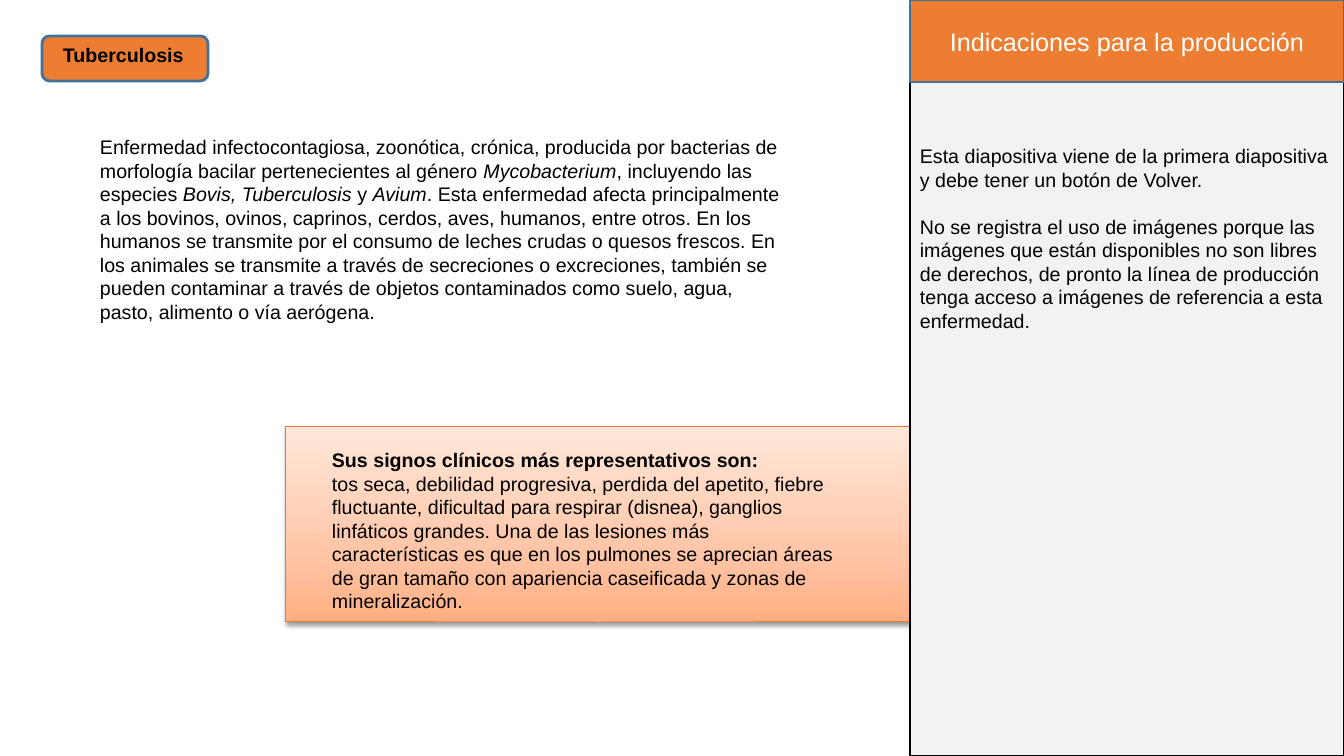
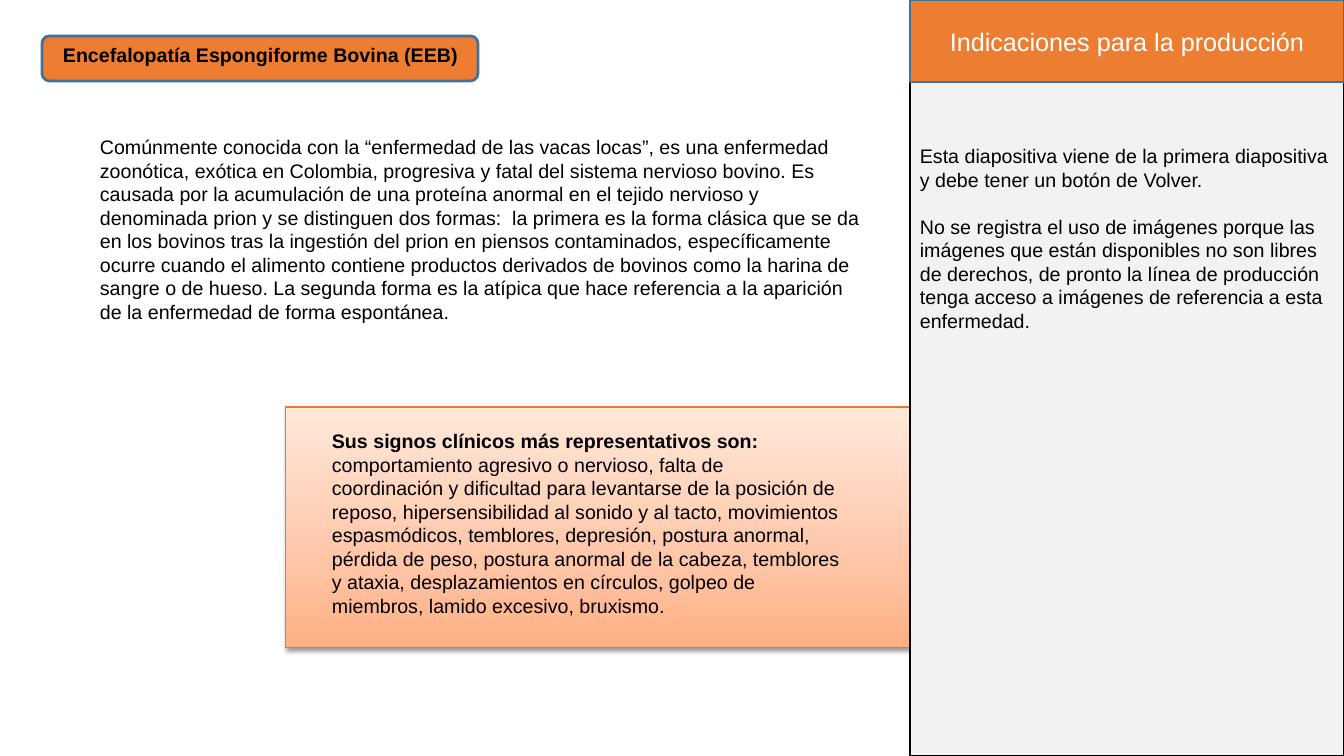
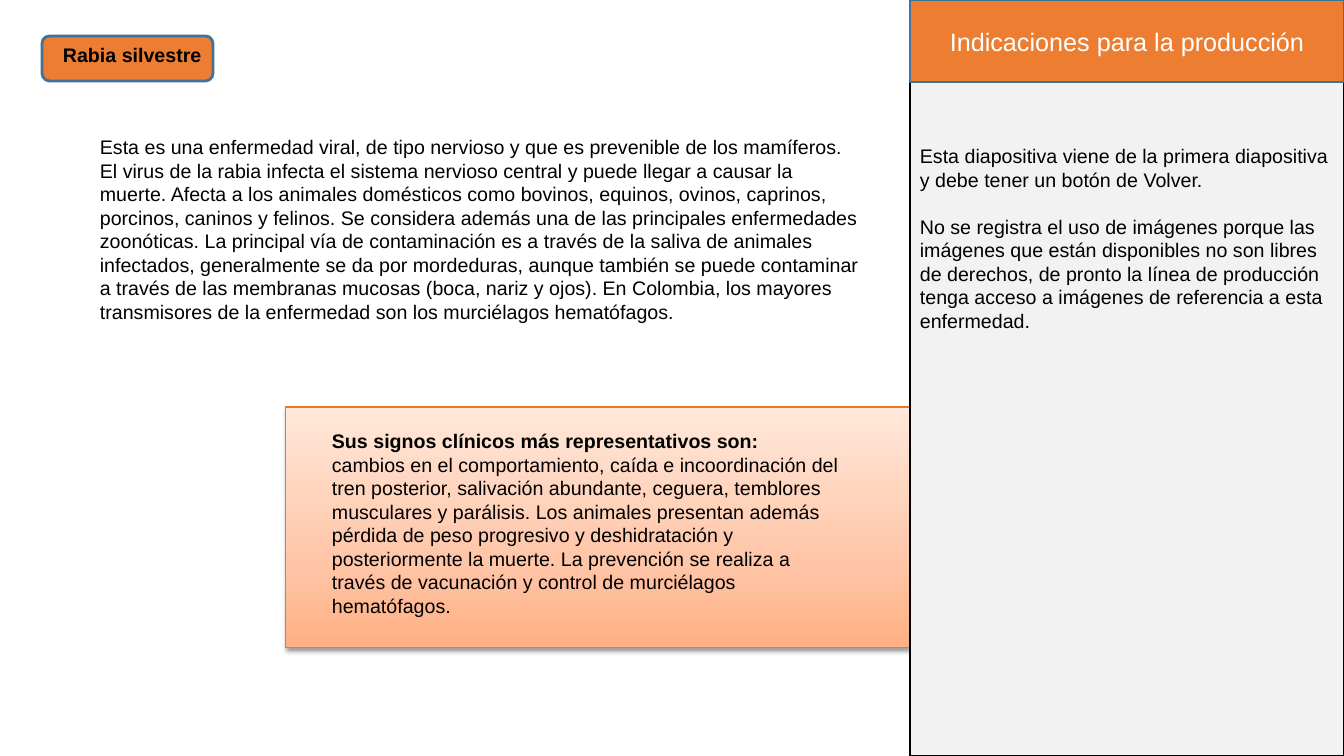
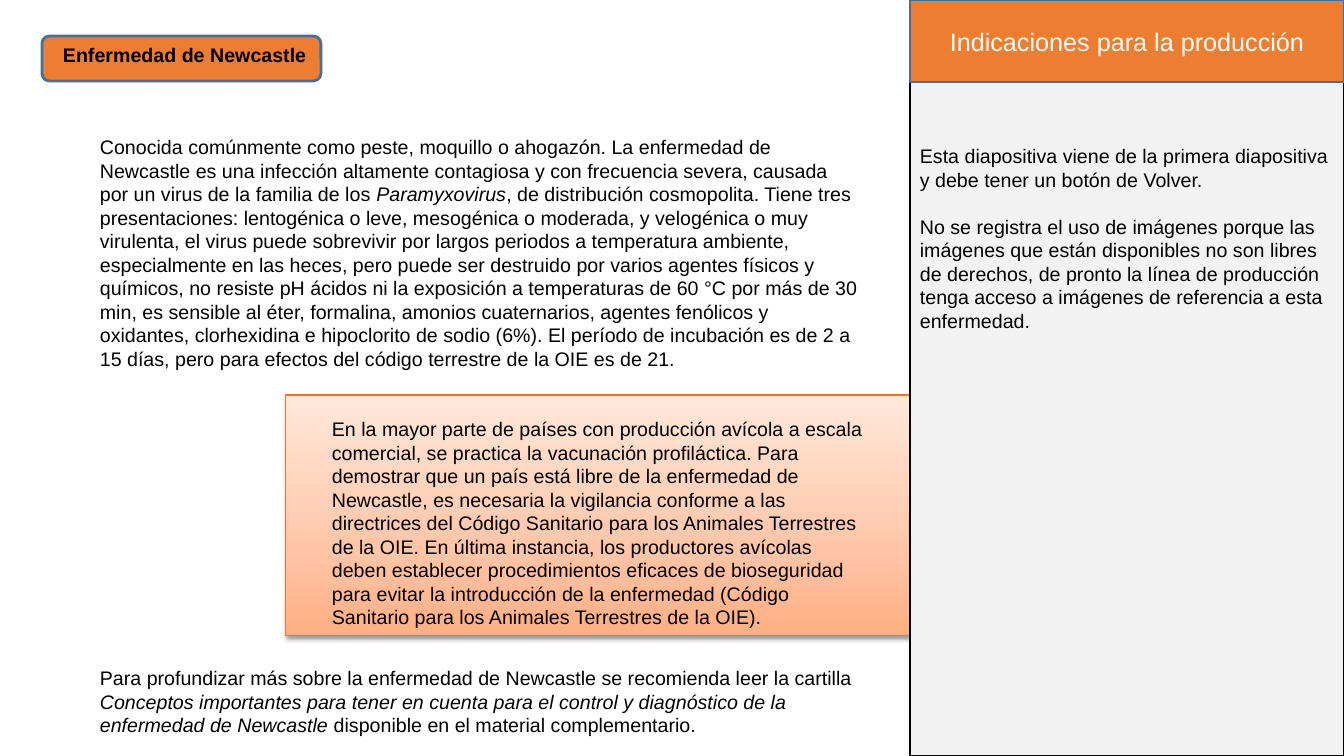
import pptx
import pptx.util
import pptx.dml.color
import pptx.enum.shapes
import pptx.enum.text
import pptx.oxml.ns
import lxml.etree

RGB = pptx.dml.color.RGBColor
SHAPE = pptx.enum.shapes.MSO_SHAPE
ALIGN = pptx.enum.text.PP_ALIGN
ANCHOR = pptx.enum.text.MSO_ANCHOR
qn = pptx.oxml.ns.qn

BLACK = RGB(0, 0, 0)
WHITE = RGB(255, 255, 255)
ORANGE = RGB(0xED, 0x7D, 0x31)
CALLOUT_LINE = RGB(0xEB, 0x79, 0x2A)
BLUE = RGB(0x42, 0x71, 0x9B)
GREY = RGB(0xF2, 0xF2, 0xF2)
GRADIENT = [(0, RGB(0xFF, 0xAF, 0x82)), (35, RGB(0xFF, 0xC5, 0xA7)), (100, RGB(0xFF, 0xE8, 0xDA))]

PANEL_TITLE = "Indicaciones para la producción"
PANEL_NOTES = [
    "Esta diapositiva viene de la primera diapositiva y debe tener un botón de Volver.",
    "No se registra el uso de imágenes porque las imágenes que están disponibles no son libres de derechos, "
    "de pronto la línea de producción tenga acceso a imágenes de referencia a esta enfermedad.",
]
SIGNS = "Sus signos clínicos más representativos son:"

DISEASES = [
    {
        "name": "Tuberculosis", "tag_width": 166, "body": (702, 196),
        "callout": (426, 196), "callout_text_width": 528, "heading": SIGNS,
        "description": [
            "Enfermedad infectocontagiosa, zoonótica, crónica, producida por bacterias de morfología bacilar "
            "pertenecientes al género *Mycobacterium*, incluyendo las especies *Bovis, Tuberculosis *y *Avium*.",
            "Esta enfermedad afecta principalmente a los bovinos, ovinos, caprinos, cerdos, aves, humanos, entre "
            "otros.",
            "En los humanos se transmite por el consumo de leches crudas o quesos frescos.",
            "En los animales se transmite a través de secreciones o excreciones, también se pueden contaminar a "
            "través de objetos contaminados como suelo, agua, pasto, alimento o vía aerógena.",
        ],
        "detail":
            "tos seca, debilidad progresiva, perdida del apetito, fiebre fluctuante, dificultad para respirar "
            "(disnea), ganglios linfáticos grandes. Una de las lesiones más características es que en los pulmones "
            "se aprecian áreas de gran tamaño con apariencia caseificada y zonas de mineralización.",
    },
    {
        "name": "Encefalopatía Espongiforme Bovina (EEB)", "tag_width": 436, "body": (781, 196),
        "callout": (407, 241), "callout_text_width": 528, "heading": SIGNS,
        "description": [
            "Comúnmente conocida con la “enfermedad de las vacas locas”, es una enfermedad zoonótica, exótica en "
            "Colombia, progresiva y fatal del sistema nervioso bovino.",
            "Es causada por la acumulación de una proteína anormal en el tejido nervioso y denominada prion y se "
            "distinguen dos formas:  la primera es la forma clásica que se da en los bovinos tras la ingestión del "
            "prion en piensos contaminados, específicamente ocurre cuando el alimento contiene productos derivados "
            "de bovinos como la harina de sangre o de hueso.",
            "La segunda forma es la atípica que hace referencia a la aparición de la enfermedad de forma "
            "espontánea.",
        ],
        "detail":
            "comportamiento agresivo o nervioso, falta de coordinación y dificultad para levantarse de la posición "
            "de reposo, hipersensibilidad al sonido y al tacto, movimientos espasmódicos, temblores, depresión, "
            "postura anormal, pérdida de peso, postura anormal de la cabeza, temblores y ataxia, desplazamientos "
            "en círculos, golpeo de miembros, lamido excesivo, bruxismo.",
    },
    {
        "name": "Rabia silvestre", "tag_width": 171, "body": (781, 196),
        "callout": (407, 241), "callout_text_width": 528, "heading": SIGNS,
        "description": [
            "Esta es una enfermedad viral, de tipo nervioso y que es prevenible de los mamíferos.",
            "El virus de la rabia infecta el sistema nervioso central y puede llegar a causar la muerte.",
            "Afecta a los animales domésticos como bovinos, equinos, ovinos, caprinos, porcinos, caninos y felinos.",
            "Se considera además una de las principales enfermedades zoonóticas.",
            "La principal vía de contaminación es a través de la saliva de animales infectados, generalmente se da "
            "por mordeduras, aunque también se puede contaminar a través de las membranas mucosas (boca, nariz y "
            "ojos).",
            "En Colombia, los mayores transmisores de la enfermedad son los murciélagos hematófagos.",
        ],
        "detail":
            "cambios en el comportamiento, caída e incoordinación del tren posterior, salivación abundante, "
            "ceguera, temblores musculares y parálisis. Los animales presentan además pérdida de peso progresivo y "
            "deshidratación y posteriormente la muerte. La prevención se realiza a través de vacunación y control "
            "de murciélagos hematófagos.",
    },
    {
        "name": "Enfermedad de Newcastle", "tag_width": 279, "body": (781, 248),
        "callout": (395, 241), "callout_text_width": 557,
        "description": [
            "Conocida comúnmente como peste, moquillo o ahogazón.",
            "La enfermedad de Newcastle es una infección altamente contagiosa y con frecuencia severa, causada por "
            "un virus de la familia de los *Paramyxovirus*, de distribución cosmopolita.",
            "Tiene tres presentaciones: lentogénica o leve, mesogénica o moderada, y velogénica o muy virulenta, "
            "el virus puede sobrevivir por largos periodos a temperatura ambiente, especialmente en las heces, "
            "pero puede ser destruido por varios agentes físicos y químicos, no resiste pH ácidos ni la exposición "
            "a temperaturas de 60 °C por más de 30 min, es sensible al éter, formalina, amonios cuaternarios, "
            "agentes fenólicos y oxidantes, clorhexidina e hipoclorito de sodio (6%).",
            "El período de incubación es de 2 a 15 días, pero para efectos del código terrestre de la OIE es de 21.",
        ],
        "detail":
            "En la mayor parte de países con producción avícola a escala comercial, se practica la vacunación "
            "profiláctica. Para demostrar que un país está libre de la enfermedad de Newcastle, es necesaria la "
            "vigilancia conforme a las directrices del Código Sanitario para los Animales Terrestres de la OIE. En "
            "última instancia, los productores avícolas deben establecer procedimientos eficaces de bioseguridad "
            "para evitar la introducción de la enfermedad (Código Sanitario para los Animales Terrestres de la "
            "OIE).",
        "reading":
            "Para profundizar más sobre la enfermedad de Newcastle se recomienda leer la cartilla *Conceptos "
            "importantes para tener en cuenta para el control y diagnóstico de la enfermedad de Newcastle* "
            "disponible en el material complementario.",
    },
]

PAGE_WIDTH, PAGE_HEIGHT = 1344, 756
PANEL_LEFT, HEADER_HEIGHT = 910, 82
PANEL_WIDTH = PAGE_WIDTH - PANEL_LEFT
CALLOUT_LEFT, BODY_LEFT = 286, 90
TAG_LEFT, TAG_TOP, TAG_HEIGHT, LABEL_INDENT = 42, 36, 45, 11
LINE_GAP = pptx.util.Pt(16.8)


def emu(*pixels):
    return [round(pixel * 914400 / 100.8) for pixel in pixels]


def set_values(target, values):
    for name, value in values.items():
        setattr(target, name, value)


def add_box(page, kind, place, fill, line, weight):
    box = page.shapes.add_shape(kind, *emu(*place))
    box.shadow.inherit = False
    if fill is not None:
        box.fill.solid()
        box.fill.fore_color.rgb = fill
    box.line.color.rgb = line
    box.line.width = pptx.util.Pt(weight)
    return box


def write(box, texts, size=14, color=BLACK, bold_first=False, align=ALIGN.LEFT, anchor=ANCHOR.TOP, gap=0):
    frame = box.text_frame
    set_values(frame, {"word_wrap": True, "vertical_anchor": anchor})
    for index, text in enumerate(texts):
        para = frame.add_paragraph() if index else frame.paragraphs[0]
        set_values(para, {"alignment": align, "space_before": gap if index else 0})
        for part, words in enumerate(text.split("*")):
            if words:
                span = para.add_run()
                span.text = words
                set_values(span.font, {"name": "Arial", "size": pptx.util.Pt(size),
                                       "bold": bold_first and index == 0, "italic": part % 2 == 1})
                span.font.color.rgb = color


def add_text(page, place, texts, **style):
    write(page.shapes.add_textbox(*emu(*place)), texts, **style)


def add_color(parent, color):
    return lxml.etree.SubElement(parent, qn("a:srgbClr"), val=str(color))


def add_callout(page, top, height):
    box = add_box(page, SHAPE.RECTANGLE, (CALLOUT_LEFT, top, PANEL_LEFT - CALLOUT_LEFT, height),
                  None, CALLOUT_LINE, 0.75)
    box.fill.gradient()
    box.fill.gradient_angle = 90
    properties = box.element.spPr
    stops = properties.find(qn("a:gradFill")).find(qn("a:gsLst"))
    for stop in list(stops):
        stops.remove(stop)
    for percent, color in GRADIENT:
        add_color(lxml.etree.SubElement(stops, qn("a:gs"), pos=str(percent * 1000)), color)
    shadow = lxml.etree.SubElement(properties.find(qn("a:effectLst")), qn("a:outerShdw"),
                                   blurRad="40000", dist="20000", dir="5400000", rotWithShape="0")
    lxml.etree.SubElement(add_color(shadow, BLACK), qn("a:alpha"), val="38000")


def add_panel(page):
    add_box(page, SHAPE.RECTANGLE, (PANEL_LEFT, 0, PANEL_WIDTH, PAGE_HEIGHT), GREY, BLACK, 1)
    add_text(page, (PANEL_LEFT, 139, PANEL_WIDTH, 333), PANEL_NOTES, gap=LINE_GAP)
    header = add_box(page, SHAPE.RECTANGLE, (PANEL_LEFT, 0, PANEL_WIDTH, HEADER_HEIGHT), ORANGE, BLUE, 1)
    write(header, [PANEL_TITLE], size=18, color=WHITE, align=ALIGN.CENTER, anchor=ANCHOR.MIDDLE)


def add_tag(page, name, width):
    add_box(page, SHAPE.ROUNDED_RECTANGLE, (TAG_LEFT, TAG_TOP, width, TAG_HEIGHT), ORANGE, BLUE, 2)
    add_text(page, (TAG_LEFT + LABEL_INDENT, TAG_TOP + 2, width - LABEL_INDENT, 34), [name], bold_first=True)


deck = pptx.Presentation()
deck.slide_width, deck.slide_height = emu(PAGE_WIDTH, PAGE_HEIGHT)

for disease in DISEASES:
    page = deck.slides.add_slide(deck.slide_layouts[6])
    top, height = disease["callout"]
    add_callout(page, top, height)
    add_panel(page)
    add_text(page, (BODY_LEFT, 130, *disease["body"]), [" ".join(disease["description"])])
    add_tag(page, disease["name"], disease["tag_width"])
    heading = [disease["heading"]] if "heading" in disease else []
    add_text(page, (CALLOUT_LEFT + 36, top + 17, disease["callout_text_width"], height - 17),
             heading + [disease["detail"]], bold_first=bool(heading))
    if "reading" in disease:
        add_text(page, (BODY_LEFT, 661, 781, 82), [disease["reading"]])

deck.save("out.pptx")
